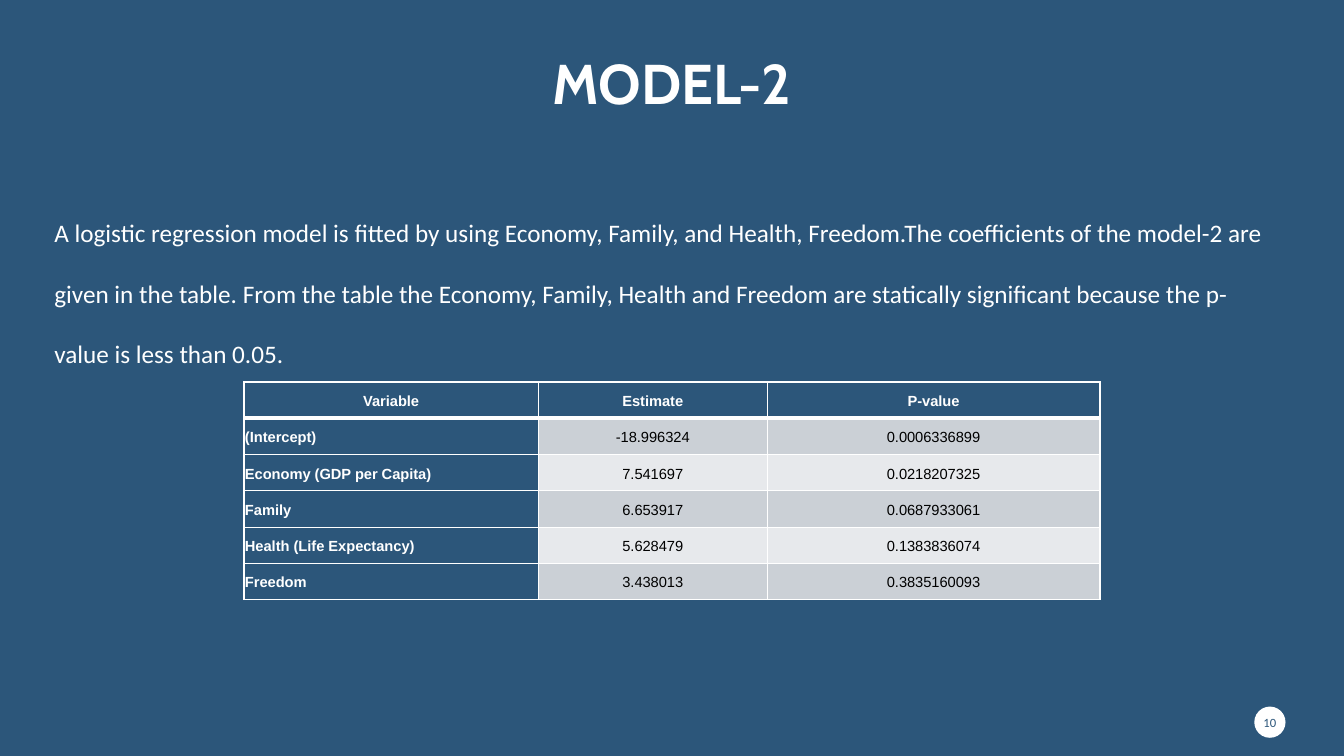
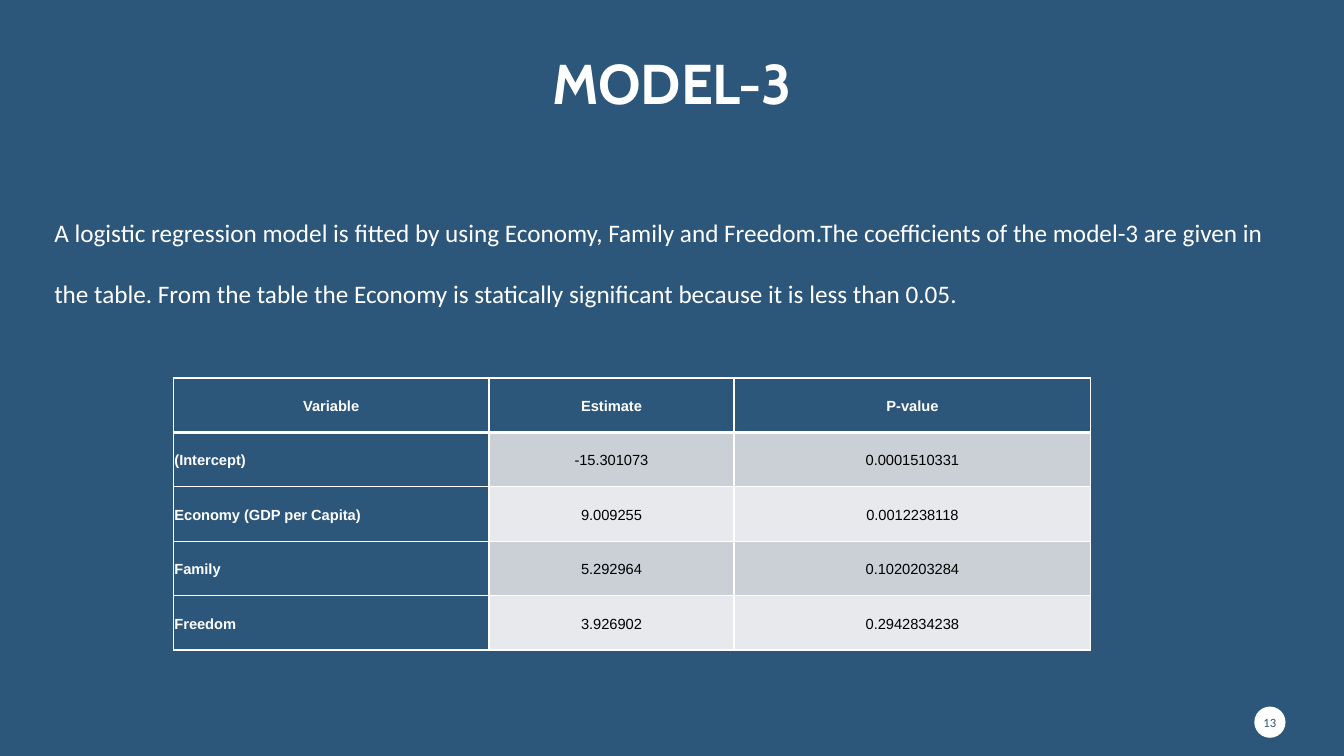
from lxml.etree import SubElement
from pptx import Presentation
from pptx.dml.color import RGBColor
from pptx.enum.shapes import MSO_SHAPE
from pptx.enum.text import MSO_ANCHOR, PP_ALIGN
from pptx.oxml.ns import qn
from pptx.util import Inches, Pt

COLORS = {
    "blue": "2C567A",
    "white": "FFFFFF",
    "black": "000000",
    "dark": "CBD0D6",
    "light": "E7E9EC",
}
HEADS = ["Variable", "Estimate", "P-value"]
MODELS = [
    {
        "title": "MODEL-2",
        "page": "10",
        "body": "A logistic regression model is fitted by using Economy, Family, "
                "and Health, Freedom.The coefficients of the model-2 are given in "
                "the table. From the table the Economy, Family, Health and Freedom "
                "are statically significant because the p-value is less than 0.05.",
        "left": 2.42, "top": 3.79, "cols": [2.92, 2.27, 3.3], "high": 0.36,
        "rows": [
            ["(Intercept)", "-18.996324", "0.0006336899"],
            ["Economy (GDP per Capita)", "7.541697", "0.0218207325"],
            ["Family", "6.653917", "0.0687933061"],
            ["Health (Life Expectancy)", "5.628479", "0.1383836074"],
            ["Freedom", "3.438013", "0.3835160093"],
        ],
    },
    {
        "title": "MODEL-3",
        "page": "13",
        "body": "A logistic regression model is fitted by using Economy, Family "
                "and Freedom.The coefficients of the model-3 are given in the "
                "table. From the table the Economy is statically significant "
                "because it is less than 0.05.",
        "left": 1.72, "top": 3.75, "cols": [3.13, 2.43, 3.54], "high": 0.54,
        "rows": [
            ["(Intercept)", "-15.301073", "0.0001510331"],
            ["Economy (GDP per Capita)", "9.009255", "0.0012238118"],
            ["Family", "5.292964", "0.1020203284"],
            ["Freedom", "3.926902", "0.2942834238"],
        ],
    },
]


def write(frame, text, font, size, color, bold=False, align=PP_ALIGN.LEFT, space=1.0):
    frame.word_wrap = True
    para = frame.paragraphs[0]
    para.alignment = align
    para.line_spacing = space
    run = para.add_run()
    run.text = text
    run.font.name = font
    run.font.size = Pt(size)
    run.font.bold = bold
    run.font.color.rgb = RGBColor.from_string(COLORS[color])


def edge(cell, widths):
    """Draw white cell borders; widths maps a side (L, R, T, B) to points."""
    props = cell._tc.get_or_add_tcPr()
    for side, width in widths.items():
        line = SubElement(props, qn(f"a:ln{side}"), w=str(Pt(width)))
        fill = SubElement(line, qn("a:solidFill"))
        SubElement(fill, qn("a:srgbClr"), val=COLORS["white"])


deck = Presentation()
deck.slide_width = Inches(13.33)
deck.slide_height = Inches(7.5)
back = deck.slide_master.background.fill
back.solid()
back.fore_color.rgb = RGBColor.from_string(COLORS["blue"])

for model in MODELS:
    slide = deck.slides.add_slide(deck.slide_layouts[6])
    shapes = slide.shapes

    title = shapes.add_textbox(Inches(1.25), Inches(0.49), Inches(10.83), Inches(0.72))
    title.text_frame.vertical_anchor = MSO_ANCHOR.BOTTOM
    write(title.text_frame, model["title"], "Cabin", 40, "white", True,
          PP_ALIGN.CENTER, 0.9)

    body = shapes.add_textbox(Inches(0.44), Inches(1.81), Inches(12.3), Inches(1.58))
    write(body.text_frame, model["body"], "Calibri", 18, "white", space=2.0)

    badge = shapes.add_shape(MSO_SHAPE.OVAL, Inches(12.44), Inches(7.01),
                             Inches(0.31), Inches(0.31))
    badge.shadow.inherit = False
    badge.fill.solid()
    badge.fill.fore_color.rgb = RGBColor.from_string(COLORS["white"])
    badge.line.fill.background()
    frame = badge.text_frame
    frame.margin_left = frame.margin_right = 0
    frame.margin_top = frame.margin_bottom = 0
    frame.vertical_anchor = MSO_ANCHOR.MIDDLE
    write(frame, model["page"], "Calibri", 9, "blue", align=PP_ALIGN.CENTER)

    rows = [HEADS] + model["rows"]
    table = shapes.add_table(
        len(rows), len(HEADS), Inches(model["left"]), Inches(model["top"]),
        Inches(sum(model["cols"])), Inches(model["high"] * len(rows))).table
    for col, width in zip(table.columns, model["cols"]):
        col.width = Inches(width)
    for r, row in enumerate(rows):
        table.rows[r].height = Inches(model["high"])
        for c, text in enumerate(row):
            cell = table.cell(r, c)
            head = r == 0 or c == 0
            edge(cell, {"L": 1, "R": 1, "T": 3 if r == 1 else 1, "B": 3 if r == 0 else 1})
            shade = "blue" if head else "dark" if r % 2 else "light"
            cell.fill.solid()
            cell.fill.fore_color.rgb = RGBColor.from_string(COLORS[shade])
            cell.margin_left = cell.margin_right = Inches(0.01)
            cell.margin_top = cell.margin_bottom = Inches(0.01)
            cell.vertical_anchor = MSO_ANCHOR.MIDDLE
            align = PP_ALIGN.LEFT if r and c == 0 else PP_ALIGN.CENTER
            write(cell.text_frame, text, "Arial", 10.5,
                  "white" if head else "black", head, align, 1.15)

deck.save("out.pptx")
